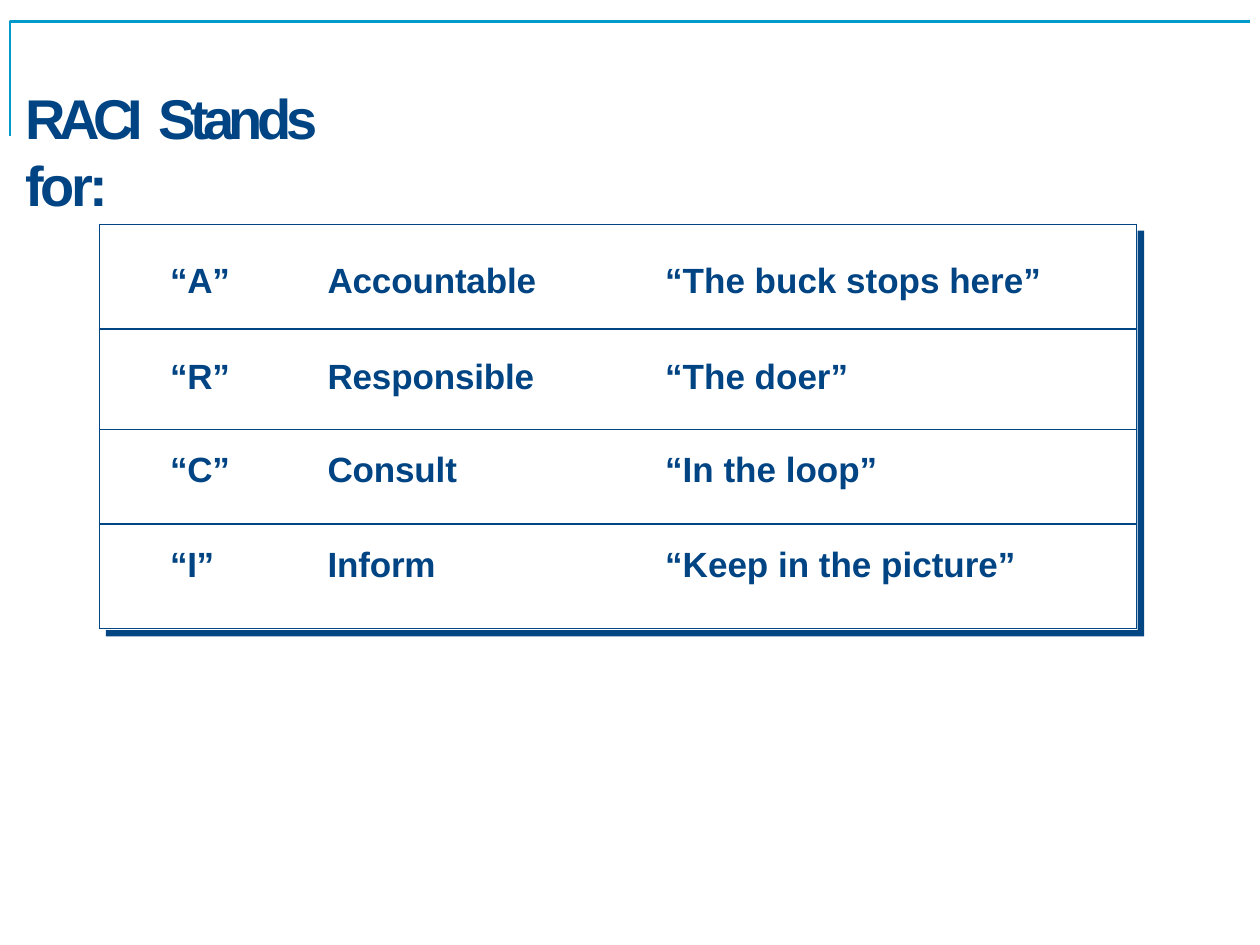
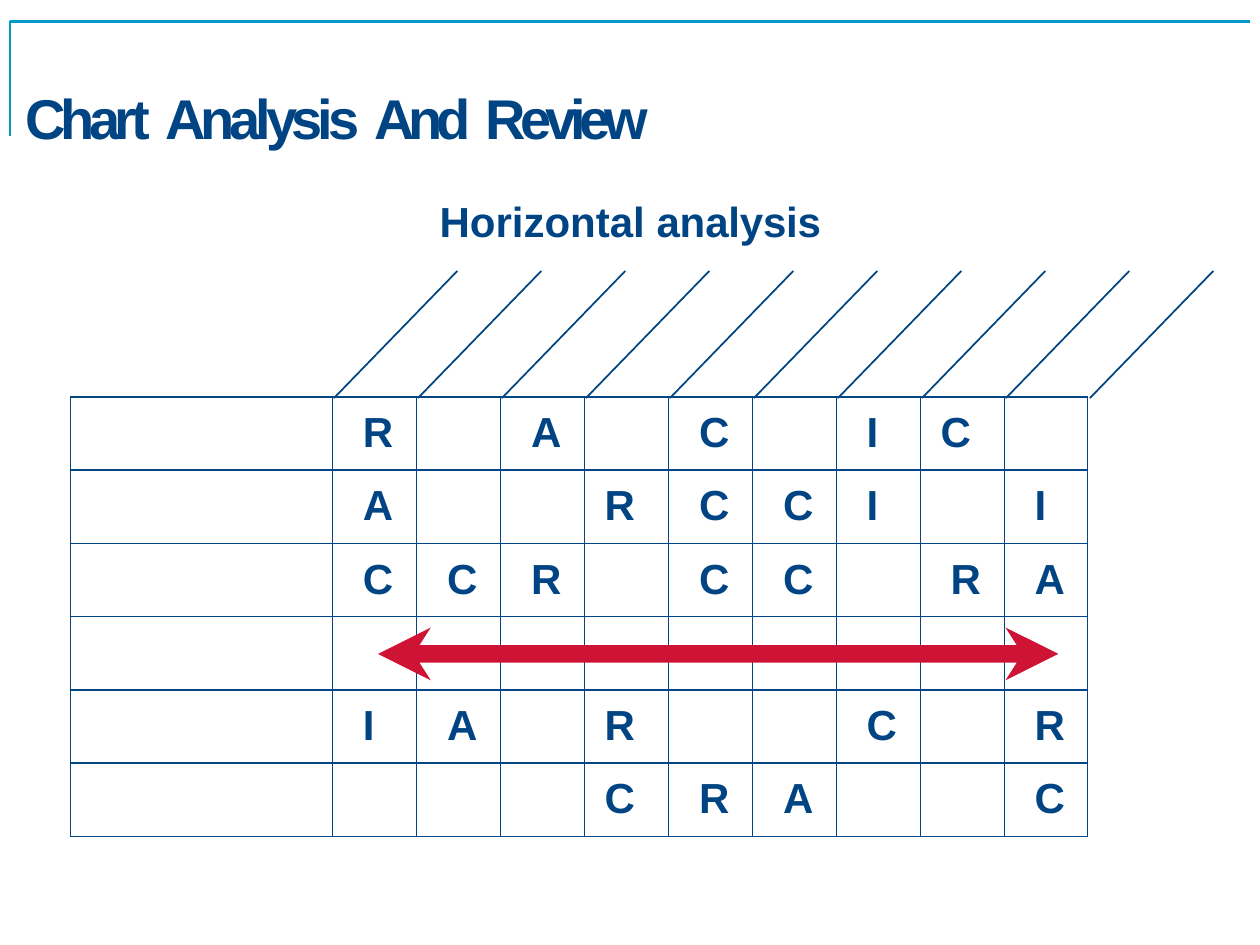
from lxml.etree import SubElement
from pptx import Presentation
from pptx.dml.color import RGBColor
from pptx.enum.shapes import MSO_SHAPE
from pptx.enum.text import MSO_ANCHOR, MSO_AUTO_SIZE, PP_ALIGN
from pptx.oxml.ns import qn
from pptx.util import Inches, Pt

COLOURS = {
    "text": "004483",
    "rule": "014582",
    "frame": "029ACA",
    "paper": "FFFFFF",
    "arrow": "CE1335",
}
FONT = "Arial"
TITLE_ONLY = 5

RACI_ROWS = [
    ("“A”", "Accountable", "“The buck stops here”"),
    ("“R”", "Responsible", "“The doer”"),
    ("“C”", "Consult", "“In the loop”"),
    ("“I”", "Inform", "“Keep in the picture”"),
]
RACI_WIDTHS = (1.42, 2.56, 4.25)
RACI_INDENTS = (0.56, 0.39, 0.51)
RACI_TRACKING = (-0.2, -0.1, 0)
RACI_HEIGHTS = (0.83, 0.8, 0.75, 0.83)
RACI_TOP_MARGINS = (0.3, 0.23, 0.17, 0.17)

# One letter per role column; a dot is an empty cell
MATRIX_ROWS = ["R.A.C.IC.", "A..RCCI.I", "CCR.CC.RA",
               ".........", "IA.R..C.R", "...CRA..C"]
CENTRED_ROLES = (1, 2, 4, 5)
ROLE_COUNT = 9
TASK_WIDTH = 2.08
ROLE_WIDTH = 6 / ROLE_COUNT
MATRIX_ROW_HEIGHT = 3.49 / len(MATRIX_ROWS)


def colour(name):
    return RGBColor.from_string(COLOURS[name])


def paint(shape, name):
    shape.shadow.inherit = False
    shape.fill.solid()
    shape.fill.fore_color.rgb = colour(name)
    shape.line.fill.background()


def draw_line(shape, name, width):
    shape.shadow.inherit = False
    shape.fill.background()
    shape.line.color.rgb = colour(name)
    shape.line.width = Pt(width)


def add_span(para, text, size, tracking=0.0):
    span = para.add_run()
    span.text = text
    span.font.name = FONT
    span.font.size = Pt(size)
    span.font.bold = True
    span.font.color.rgb = colour("text")
    if tracking:
        span.font._element.set("spc", str(round(tracking * 100)))


def set_up_text(frame, margin_left, margin_top):
    frame.word_wrap = True
    frame.auto_size = MSO_AUTO_SIZE.SHAPE_TO_FIT_TEXT
    frame.vertical_anchor = MSO_ANCHOR.TOP
    frame.margin_left = Inches(margin_left)
    frame.margin_right = frame.margin_bottom = 0
    frame.margin_top = Inches(margin_top)
    para = frame.paragraphs[0]
    para.alignment = PP_ALIGN.LEFT
    return para


def place(shape, left, top, width, height):
    shape.left, shape.top = Inches(left), Inches(top)
    shape.width, shape.height = Inches(width), Inches(height)


def add_outline(page, *strokes, close=False):
    """Build one freeform from lists of points in inches."""
    strokes = [[(Inches(x), Inches(y)) for x, y in points] for points in strokes]
    builder = page.shapes.build_freeform(*strokes[0][0])
    for i, (start, *rest) in enumerate(strokes):
        if i:
            builder.move_to(*start)
        builder.add_line_segments(rest, close=close)
    return builder.convert_to_shape()


def add_page(deck, title_spans, title_box, margin_top):
    """Add a slide with the corner frame and a tightly tracked title."""
    page = deck.slides.add_slide(deck.slide_layouts[TITLE_ONLY])
    frame = add_outline(page, [(0.08, 1.08), (0.08, 0.17), (9.92, 0.17)])
    draw_line(frame, "frame", 1.5)

    title = page.shapes.title
    place(title, *title_box)
    para = set_up_text(title.text_frame, 0.02, margin_top)
    for i, (word, tracking) in enumerate(title_spans):
        if i:
            add_span(para, " ", 32)
        add_span(para, word, 32, tracking)
    return page


def set_borders(cell, sides):
    """Rule the named sides (L, R, T, B) and clear the others."""
    properties = cell._tc.get_or_add_tcPr()
    for side in "LRTB":
        line = SubElement(properties, qn(f"a:ln{side}"), w=str(Pt(1)))
        if side in sides:
            fill = SubElement(line, qn("a:solidFill"))
            SubElement(fill, qn("a:srgbClr"), val=COLOURS["rule"])
        else:
            SubElement(line, qn("a:noFill"))


def add_grid(page, left, top, widths, heights):
    shape = page.shapes.add_table(
        len(heights), len(widths), Inches(left), Inches(top),
        Inches(sum(widths)), Inches(sum(heights)))
    table = shape.table
    table.first_row = table.horz_banding = False
    for column, width in zip(table.columns, widths):
        column.width = Inches(width)
    for row, height in zip(table.rows, heights):
        row.height = Inches(height)
    return table


def fill_cell(cell, text, size, indent, margin_top, tracking):
    cell.margin_left = Inches(indent)
    cell.margin_top = Inches(margin_top)
    cell.margin_right = cell.margin_bottom = 0
    para = cell.text_frame.paragraphs[0]
    add_span(para, text, size, tracking)
    return para


def add_raci_panel(page, left, top, width, height):
    """Definitions table on a white card with a hard shadow."""
    for offset, name in ((0.05, "rule"), (0, "paper")):
        card = page.shapes.add_shape(
            MSO_SHAPE.RECTANGLE, Inches(left + offset), Inches(top + offset),
            Inches(width), Inches(height))
        paint(card, name)

    table = add_grid(page, left, top, RACI_WIDTHS, RACI_HEIGHTS)
    for r, words in enumerate(RACI_ROWS):
        for c, text in enumerate(words):
            cell = table.cell(r, c)
            set_borders(cell, ("LTB", "TB", "RTB")[c])
            cell.fill.solid()
            cell.fill.fore_color.rgb = colour("paper")
            fill_cell(cell, text, 20, RACI_INDENTS[c],
                      RACI_TOP_MARGINS[r], RACI_TRACKING[c])


def role_indent(row, role):
    if role in CENTRED_ROLES:
        return 0.06
    return 0.16 if role == 3 or (row, role) == (0, 7) else 0.24


def add_matrix(page, left, top):
    """Task and role grid with slanted column headers."""
    widths = [TASK_WIDTH] + [ROLE_WIDTH] * (ROLE_COUNT - 1) + [0.66]
    heights = [MATRIX_ROW_HEIGHT] * len(MATRIX_ROWS)
    table = add_grid(page, left, top, widths, heights)
    for r, letters in enumerate(MATRIX_ROWS):
        for c, letter in enumerate("." + letters):
            cell = table.cell(r, c)
            set_borders(cell, "LRTB")
            cell.fill.background()
            if letter == ".":
                continue
            role = c - 1
            para = fill_cell(cell, letter, 24, role_indent(r, role), 0.1, -0.5)
            if role in CENTRED_ROLES:
                para.alignment = PP_ALIGN.CENTER

    # Slanted header lines
    first = left + TASK_WIDTH + 0.01
    starts = [first + i * ROLE_WIDTH for i in range(ROLE_COUNT + 1)]
    slants = [[(x, top + 0.01), (x + 0.98, top - 1)] for x in starts]
    draw_line(add_outline(page, *slants), "rule", 1)


def add_double_arrow(page, left, top, width, height):
    """Double arrow with swept-back heads."""
    right, bottom, middle = left + width, top + height, top + height / 2
    head, neck, half_shaft = 0.42, 0.33, 0.07
    upper = [(left + head, top), (left + neck, middle - half_shaft),
             (right - neck, middle - half_shaft), (right - head, top)]
    lower = [(x, top + bottom - y) for x, y in reversed(upper)]
    points = [(left, middle), *upper, (right, middle), *lower]
    paint(add_outline(page, points, close=True), "arrow")


def add_subtitle(page, left, top, width, height):
    box = page.shapes.add_textbox(0, 0, 0, 0)
    place(box, left, top, width, height)
    para = set_up_text(box.text_frame, 0.01, 0.02)
    add_span(para, "Horizontal ", 24)
    add_span(para, "analysis", 24, -0.1)


def build_definitions(deck):
    spans = [("RACI", -3.7), ("Stands", -3.2), ("for:", -2)]
    page = add_page(deck, spans, (0.18, 0.64, 2.95, 0.56), 0.02)
    add_raci_panel(page, 0.79, 1.78, 8.24, 3.22)


def build_analysis(deck):
    spans = [("Chart", -3.1), ("Analysis", -3), ("And", -3.9), ("Review", -3.5)]
    page = add_page(deck, spans, (0.18, 0.17, 9.37, 1.03), 0.49)
    add_subtitle(page, 3.48, 1.53, 3.06, 0.43)
    add_matrix(page, 0.56, 3.15)
    add_double_arrow(page, 3, 4.98, 5.4, 0.42)


def main():
    deck = Presentation()
    deck.slide_width, deck.slide_height = Inches(10), Inches(7.5)
    build_definitions(deck)
    build_analysis(deck)
    deck.save("out.pptx")


if __name__ == "__main__":
    main()
